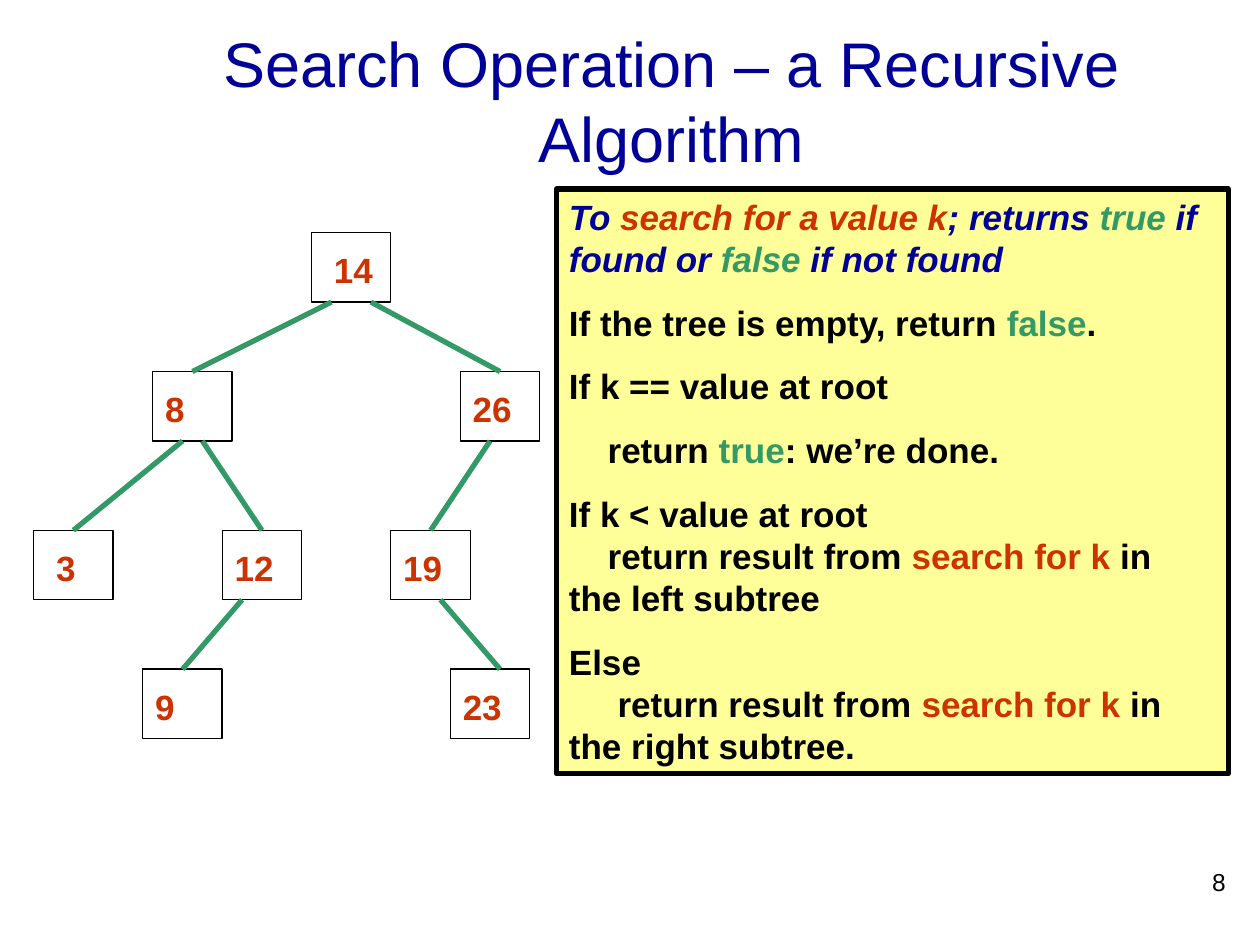
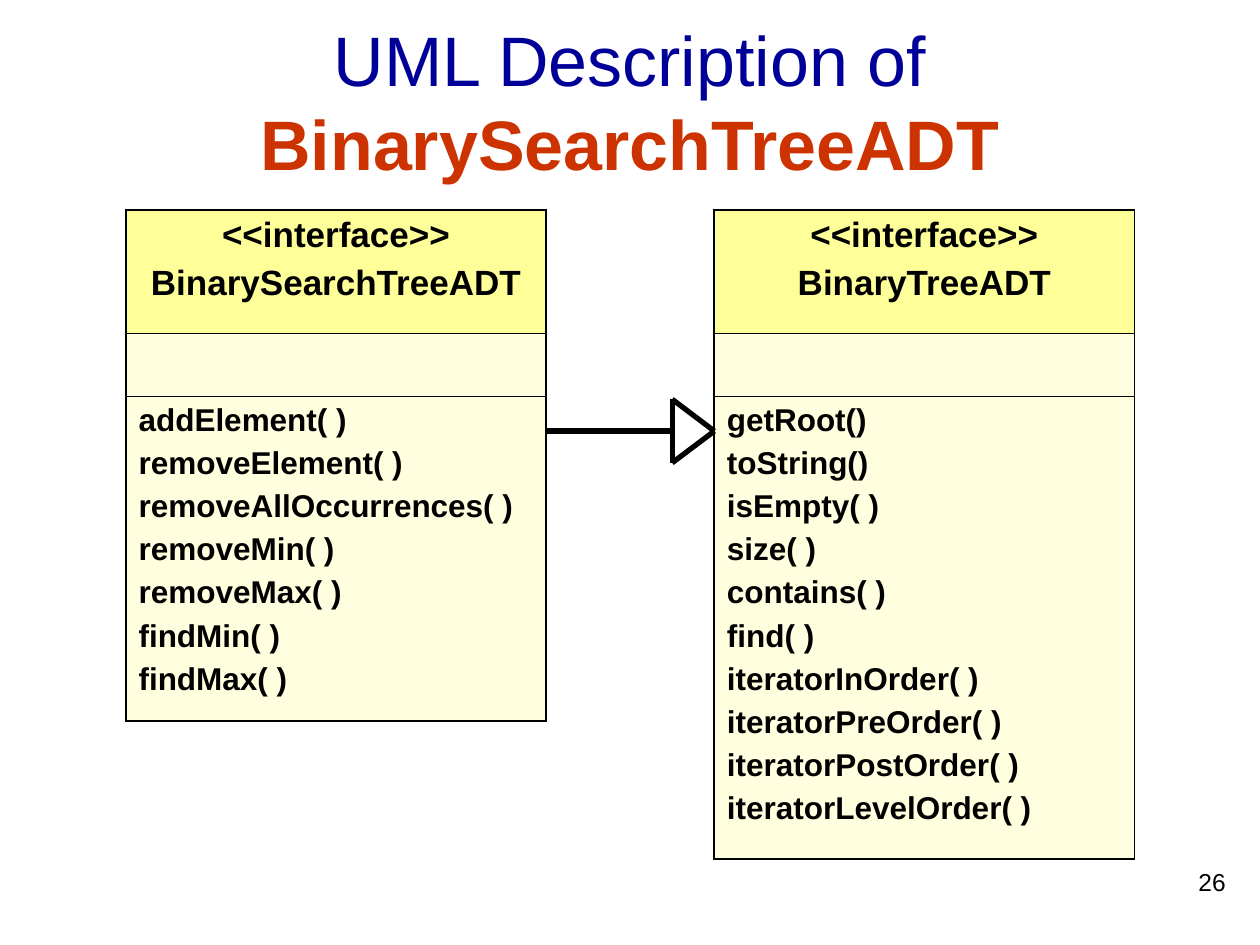
from lxml.etree import SubElement as Sub
from pptx import Presentation as Deck
from pptx.dml.color import RGBColor as Rgb
from pptx.enum.shapes import MSO_CONNECTOR as Conn, MSO_SHAPE as Form
from pptx.enum.text import MSO_ANCHOR as Anchor, PP_ALIGN as Align
from pptx.oxml.ns import qn
from pptx.util import Cm, Pt

HUES = {
    "navy": "000099",
    "red": "CC3300",
    "green": "339966",
    "black": "000000",
    "gold": "FFFF99",
    "cream": "FFFFDF",
}
FACE = "Arial"
TITLE = {"size": Pt(36), "bold": False}
LABEL = {"size": Pt(20), "bold": True}
MEMBER = {"size": Pt(18), "bold": True}
NUMBER = {"size": Pt(14), "bold": False}

NODE_W, NODE_H = 1.6, 1.4
NODES = {
    "14": (5.6, 0, 0.2),
    "8": (2.4, 2.8, 0),
    "26": (8.6, 2.8, 0),
    "3": (0, 6, 0.2),
    "12": (3.8, 6, 0),
    "19": (7.2, 6, 0),
    "9": (2.2, 8.8, 0),
    "23": (8.4, 8.8, 0),
}
EDGES = [
    ("14", 0.4, "8", 0.8),
    ("14", 1.2, "26", 0.8),
    ("8", 0.6, "3", 0.8),
    ("8", 1, "12", 0.8),
    ("26", 0.6, "19", 0.8),
    ("12", 0.4, "9", 0.8),
    ("19", 1, "23", 1),
]

GAP = 12.5
BREAK = None
STEPS = [
    (GAP, 0, True, [("To ", "navy"), ("search for a value k", "red"),
                    ("; returns ", "navy"), ("true", "green"),
                    (" if found or ", "navy"), ("false", "green"),
                    (" if not found", "navy")]),
    (GAP, 0, False, [("If the tree is empty, return ", "black"),
                     ("false", "green"), (".", "black")]),
    (GAP, 0, False, [("If k == value at root", "black")]),
    (GAP, 0.78, False, [("return ", "black"), ("true", "green"),
                        (": we’re done.", "black")]),
    (GAP, 0, False, [("If k < value at root", "black")]),
    (0, 0.78, False, [("return result from ", "black"),
                      ("search for k", "red"), (" in", "black"), BREAK,
                      ("the left subtree", "black")]),
    (GAP, 0, False, [("Else", "black")]),
    (0, 0.98, False, [("return result from ", "black"),
                      ("search for k", "red"), (" in", "black"), BREAK,
                      ("the right subtree.", "black")]),
]

SEARCH = ["addElement( )", "removeElement( )", "removeAllOccurrences( )",
          "removeMin( )", "removeMax( )", "findMin( )", "findMax( )"]
BINARY = ["getRoot()", "toString()", "isEmpty( )", "size( )", "contains( )",
          "find( )", "iteratorInOrder( )", "iteratorPreOrder( )",
          "iteratorPostOrder( )", "iteratorLevelOrder( )"]


def hue(name):
    """Return the named colour."""
    return Rgb.from_string(HUES[name])


def style(item, form):
    """Set each attribute in a dict of format values."""
    for key, val in form.items():
        setattr(item, key, val)


def write(para, runs, form):
    """Add coloured runs and line breaks to a paragraph."""
    for part in runs:
        if part is BREAK:
            para.add_line_break()
            continue
        run = para.add_run()
        run.text, tint = part
        style(run.font, {"name": FACE, **form})
        run.font.color.rgb = hue(tint)


def para_at(frame, spot):
    """Return the first paragraph or add a new one."""
    return frame.add_paragraph() if spot else frame.paragraphs[0]


def label(slide, box, runs, form, align=Align.LEFT, anchor=Anchor.TOP):
    """Place a one-paragraph text box."""
    frame = slide.shapes.add_textbox(*map(Cm, box)).text_frame
    style(frame, {"word_wrap": True, "vertical_anchor": anchor})
    para = frame.paragraphs[0]
    para.alignment = align
    write(para, runs, form)


def title(slide, box, runs, form):
    """Place a centred slide title."""
    label(slide, box, runs, form, Align.CENTER, Anchor.MIDDLE)


def footer(slide, num):
    """Place the slide number."""
    label(slide, (19.68, 17.35, 5.28, 1.27), [(num, "black")], NUMBER,
          Align.RIGHT)


def link(slide, start, end, tint):
    """Draw a thick straight line between two points."""
    line = slide.shapes.add_connector(Conn.STRAIGHT, *map(Cm, start + end))
    line.line.color.rgb = hue(tint)
    line.line.width = Pt(3)
    Sub(line._element.spPr, qn("a:effectLst"))


def frame_box(slide, box, width, fill=None):
    """Draw a black-edged rectangle."""
    rect = slide.shapes.add_shape(Form.RECTANGLE, *map(Cm, box))
    rect.shadow.inherit = False
    rect.line.color.rgb = hue("black")
    rect.line.width = Pt(width)
    if fill:
        rect.fill.solid()
        rect.fill.fore_color.rgb = hue(fill)
    else:
        rect.fill.background()
    return rect


def tree(slide, left, top):
    """Draw the search tree from its top left corner."""
    for x, y, _ in NODES.values():
        frame_box(slide, (left + x, top + y, NODE_W, NODE_H), 0.75)
    for head, out, tail, into in EDGES:
        (x1, y1, _), (x2, y2, _) = NODES[head], NODES[tail]
        link(slide, (left + x1 + out, top + y1 + NODE_H),
             (left + x2 + into, top + y2), "green")
    for key, (x, y, shift) in NODES.items():
        label(slide, (left + x + shift, top + y + 0.2, 1.4, 1.12),
              [(key, "red")], LABEL)


def panel(slide, box):
    """Draw the box with the steps of the algorithm."""
    frame = frame_box(slide, box, 3, "gold").text_frame
    style(frame, {"word_wrap": True, "vertical_anchor": Anchor.TOP})
    for spot, (gap, inset, slant, runs) in enumerate(STEPS):
        para = para_at(frame, spot)
        style(para, {"alignment": Align.LEFT,
                     "space_before": Pt(gap if spot else 0)})
        if inset:
            props = para._p.get_or_add_pPr()
            props.set("marL", "0")
            props.set("indent", str(Cm(inset)))
        write(para, runs, {**LABEL, "italic": slant})


def edge(cell, sides):
    """Give a cell black borders of the stated widths."""
    props = cell._tc.get_or_add_tcPr()
    for side, width in sides.items():
        line = Sub(props, qn("a:ln" + side), w=str(Pt(width)))
        fill = Sub(line, qn("a:solidFill"))
        Sub(fill, qn("a:srgbClr"), val=HUES["black"])


def uml(slide, left, top, name, members, depth):
    """Draw a UML class box as a three-row table."""
    rows = [
        (2.49, "gold", ["<<interface>>", name], LABEL, Align.CENTER, 5),
        (1.27, "cream", [], MEMBER, Align.LEFT, 0),
        (depth, "cream", members, MEMBER, Align.LEFT, 4.5),
    ]
    high = sum(row[0] for row in rows)
    grid = slide.shapes.add_table(3, 1, *map(Cm, (left, top, 8.47, high))).table
    style(grid, {"first_row": False, "horz_banding": False})
    for spot, (tall, fill, lines, form, align, gap) in enumerate(rows):
        grid.rows[spot].height = Cm(tall)
        cell = grid.cell(spot, 0)
        edge(cell, {"L": 1.08, "R": 1.08, "T": 0.45 if spot else 1.08,
                    "B": 0.45 if spot < 2 else 1.08})
        cell.fill.solid()
        cell.fill.fore_color.rgb = hue(fill)
        for at, text in enumerate(lines):
            para = para_at(cell.text_frame, at)
            style(para, {"alignment": align,
                         "space_before": Pt(gap if at else 0)})
            write(para, [(text, "black")], form)


def arrow(slide, left, mid, right):
    """Draw the hollow-headed inheritance arrow."""
    neck, half = right - 0.85, 0.64
    high, low, tip = (neck, mid - half), (neck, mid + half), (right, mid)
    for start, end in [(high, tip), (tip, low), (high, low),
                       ((neck, mid), (left, mid))]:
        link(slide, start, end, "black")


def search_slide(slide):
    """Build the slide on the recursive search."""
    title(slide, (2.74, 0.84, 21.59, 2.34),
          [("Search Operation – a Recursive Algorithm", "navy")], TITLE)
    tree(slide, 0.68, 4.69)
    panel(slide, (11.22, 3.81, 13.54, 11.79))
    footer(slide, "8")


def uml_slide(slide):
    """Build the slide with the two interfaces."""
    big = {"size": Pt(40)}
    box = (1.9, 0.43, 21.59, 3.18)
    frame = slide.shapes.add_textbox(*map(Cm, box)).text_frame
    style(frame, {"word_wrap": True, "vertical_anchor": Anchor.MIDDLE})
    para = frame.paragraphs[0]
    para.alignment = Align.CENTER
    write(para, [("UML Description of ", "navy")], big)
    write(para, [("BinarySearchTreeADT", "red")], {**big, "bold": True})
    uml(slide, 14.4, 4.23, "BinaryTreeADT", BINARY, 9.32)
    uml(slide, 2.54, 4.23, "BinarySearchTreeADT", SEARCH, 6.55)
    arrow(slide, 11.01, 8.69, 14.4)
    footer(slide, "26")


def main():
    """Build and save the deck."""
    deck = Deck()
    style(deck, {"slide_width": Cm(25.4), "slide_height": Cm(19.05)})
    for build in (search_slide, uml_slide):
        build(deck.slides.add_slide(deck.slide_layouts[6]))
    deck.save("out.pptx")


if __name__ == "__main__":
    main()
